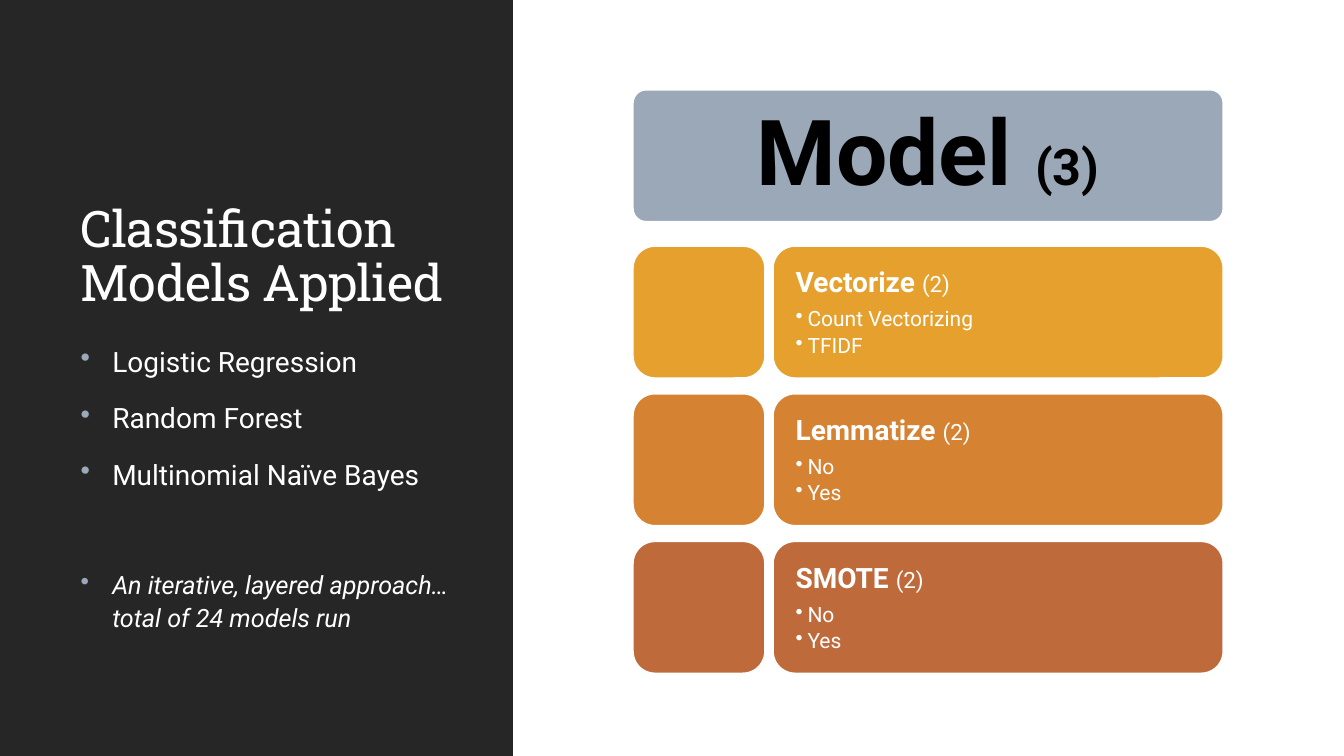
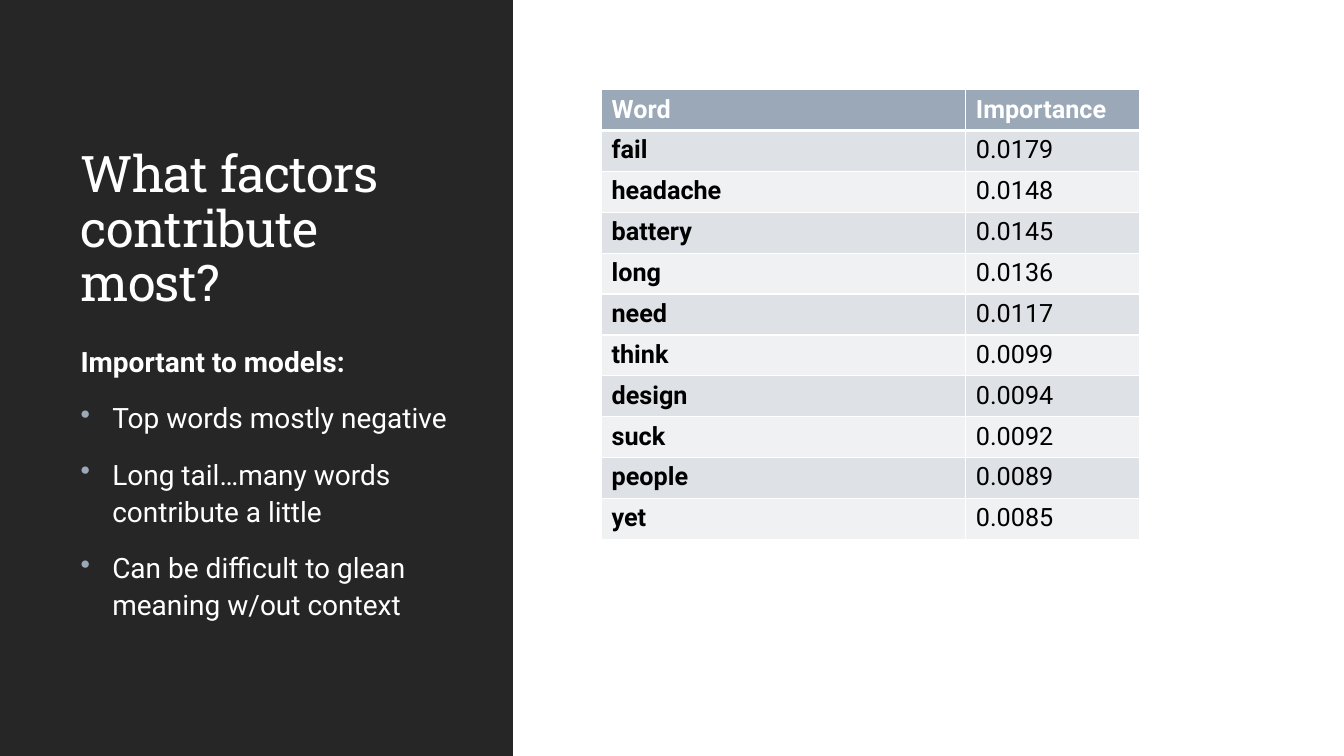
from dataclasses import dataclass

from lxml.etree import SubElement
from pptx import Presentation
from pptx.dml.color import RGBColor
from pptx.enum.shapes import MSO_SHAPE
from pptx.enum.text import MSO_ANCHOR, PP_ALIGN
from pptx.oxml.ns import qn
from pptx.util import Cm, Pt

HEADING_FONT, BODY_FONT = "Roboto Slab", "Roboto"
WHITE, BLACK, CHARCOAL, SLATE = "FFFFFF", "000000", "262626", "9BA8B7"
ROW_TINTS = ("DEE1E6", "EFF1F3")

SLIDE_WIDTH, SLIDE_HEIGHT = Cm(33.87), Cm(19.05)
BAND_WIDTH = Cm(12.93)
TEXT_LEFT, TITLE_WIDTH = Cm(1.78), Cm(9.78)
CONTENT_TOP = Cm(2.26)

STACK_LEFT, STACK_WIDTH = Cm(15.95), Cm(14.88)
TILE = Cm(3.33)
STEPS_TOP, STEP_PITCH = Cm(6.2), Cm(3.72)
CARD_LEFT = Cm(19.48)


@dataclass(frozen=True)
class Point:
    text: str
    size: float = 20
    bold: bool = False
    italic: bool = False
    bulleted: bool = True
    space_before: float = 12


@dataclass(frozen=True)
class Step:
    name: str
    count: int
    options: tuple[str, ...]
    color: str


MODEL_POINTS = (
    Point("Logistic Regression"),
    Point("Random Forest"),
    Point("Multinomial Naïve Bayes"),
    Point("An iterative, layered approach…\vtotal of 24 models run",
          size=18, italic=True, space_before=52),
)
FACTOR_POINTS = (
    Point("Important to models:", bold=True, bulleted=False),
    Point("Top words mostly negative"),
    Point("Long tail…many words contribute a little"),
    Point("Can be difficult to glean meaning w/out context"),
)
STEPS = (
    Step("Vectorize", 2, ("Count Vectorizing", "TFIDF"), "E6A02E"),
    Step("Lemmatize", 2, ("No", "Yes"), "D58232"),
    Step("SMOTE", 2, ("No", "Yes"), "BF6A3B"),
)
IMPORTANCES = (
    ("fail", "0.0179"),
    ("headache", "0.0148"),
    ("battery", "0.0145"),
    ("long", "0.0136"),
    ("need", "0.0117"),
    ("think", "0.0099"),
    ("design", "0.0094"),
    ("suck", "0.0092"),
    ("people", "0.0089"),
    ("yet", "0.0085"),
)


def rgb(color: str) -> RGBColor:
    return RGBColor.from_string(color)


def style_font(paragraph, color: str, size: float | None = None,
               name: str = BODY_FONT, bold: bool | None = None) -> None:
    font = paragraph.font
    font.name, font.bold = name, bold
    font.color.rgb = rgb(color)
    if size is not None:
        font.size = Pt(size)


def add_bullet(paragraph, indent: int, color: str) -> None:
    """Give the paragraph a hanging bullet; call before setting its font."""
    properties = paragraph._p.get_or_add_pPr()
    properties.set("marL", str(indent))
    properties.set("indent", str(-indent))
    bullet_color = SubElement(properties, qn("a:buClr"))
    SubElement(bullet_color, qn("a:srgbClr"), val=color)
    SubElement(properties, qn("a:buChar"), char="•")


def next_paragraph(frame, index: int):
    return frame.paragraphs[0] if index == 0 else frame.add_paragraph()


def add_block(slide, kind, left: int, top: int, width: int, height: int,
              color: str, corner: float | None = None):
    """Draw a filled shape; a rounded one gets a white outline."""
    block = slide.shapes.add_shape(kind, left, top, width, height)
    block.shadow.inherit = False
    block.fill.solid()
    block.fill.fore_color.rgb = rgb(color)
    if corner is None:
        block.line.fill.background()
    else:
        block.adjustments[0] = corner
        block.line.color.rgb = rgb(WHITE)
        block.line.width = Pt(1.25)
    return block


def set_insets(frame, horizontal: int, vertical: int) -> None:
    frame.word_wrap = True
    frame.margin_left = frame.margin_right = horizontal
    frame.margin_top = frame.margin_bottom = vertical


def add_counted_name(paragraph, name: str, count: int, color: str,
                     name_size: float, count_size: float, count_bold: bool) -> None:
    """Write a large bold name followed by a smaller count in brackets."""
    style_font(paragraph, color)
    paragraph.line_spacing = 0.9
    for text, size, bold in ((f"{name} ", name_size, True),
                             (f"({count})", count_size, count_bold)):
        run = paragraph.add_run()
        run.text = text
        run.font.size, run.font.bold = Pt(size), bold


def add_side_panel(slide, title: str, points: tuple[Point, ...], body_width: int) -> None:
    add_block(slide, MSO_SHAPE.RECTANGLE, 0, 0, BAND_WIDTH, SLIDE_HEIGHT, CHARCOAL)

    heading = slide.shapes.add_textbox(TEXT_LEFT, Cm(2.18), TITLE_WIDTH, Cm(5.82)).text_frame
    heading.word_wrap = True
    heading.vertical_anchor = MSO_ANCHOR.BOTTOM
    line = heading.paragraphs[0]
    line.text = title
    line.line_spacing = 0.9
    style_font(line, WHITE, 36, HEADING_FONT)
    line._p.pPr.find(qn("a:defRPr")).set("spc", "-50")

    body = slide.shapes.add_textbox(TEXT_LEFT, Cm(8.46), body_width, Cm(8.51)).text_frame
    body.word_wrap = True
    for index, point in enumerate(points):
        paragraph = next_paragraph(body, index)
        paragraph.text = point.text
        if point.bulleted:
            add_bullet(paragraph, Cm(0.8), SLATE)
        paragraph.line_spacing = 1.1
        paragraph.space_before = Pt(point.space_before if index else 0)
        paragraph.space_after = Pt(2)
        style_font(paragraph, WHITE, point.size, bold=point.bold)
        paragraph.font.italic = point.italic


def add_model_header(slide) -> None:
    header = add_block(slide, MSO_SHAPE.ROUNDED_RECTANGLE, STACK_LEFT, CONTENT_TOP,
                       STACK_WIDTH, TILE, SLATE, corner=0.1)
    frame = header.text_frame
    set_insets(frame, Cm(0.35), Cm(0.23))
    frame.vertical_anchor = MSO_ANCHOR.MIDDLE
    paragraph = frame.paragraphs[0]
    paragraph.alignment = PP_ALIGN.CENTER
    add_counted_name(paragraph, "Model", 3, BLACK, 65, 36, count_bold=True)


def add_step(slide, step: Step, top: int) -> None:
    """Draw a square tile and, beside it, a card listing the step's options."""
    card_width = STACK_LEFT + STACK_WIDTH - CARD_LEFT
    _, card = [
        add_block(slide, MSO_SHAPE.ROUNDED_RECTANGLE, left, top, width, TILE,
                  step.color, corner=0.167)
        for left, width in ((STACK_LEFT, TILE), (CARD_LEFT, card_width))
    ]
    frame = card.text_frame
    set_insets(frame, Cm(0.41), Cm(0.41))
    frame.vertical_anchor = MSO_ANCHOR.TOP
    name_line = frame.paragraphs[0]
    name_line.alignment = PP_ALIGN.LEFT
    name_line.space_after = Pt(7)
    add_counted_name(name_line, step.name, step.count, WHITE, 20, 16, count_bold=False)
    for option in step.options:
        paragraph = frame.add_paragraph()
        paragraph.text = option
        paragraph.level = 1
        paragraph.alignment = PP_ALIGN.LEFT
        add_bullet(paragraph, Cm(0.3), WHITE)
        paragraph.line_spacing = 0.9
        paragraph.space_after = Pt(2.7)
        style_font(paragraph, WHITE, 15)


def add_cell_borders(cell, top: float, bottom: float) -> None:
    """Add white borders, widths in points; call before filling the cell."""
    properties = cell._tc.get_or_add_tcPr()
    for side, width in (("L", 1), ("R", 1), ("T", top), ("B", bottom)):
        border = SubElement(properties, qn(f"a:ln{side}"), w=str(Pt(width)))
        fill = SubElement(border, qn("a:solidFill"))
        SubElement(fill, qn("a:srgbClr"), val=WHITE)


def add_importance_table(slide) -> None:
    rows = (("Word", "Importance"), *IMPORTANCES)
    column_widths = (Cm(9.18), Cm(4.38))
    row_height = Cm(1.03)
    table = slide.shapes.add_table(len(rows), len(column_widths), Cm(15.16), CONTENT_TOP,
                                   sum(column_widths), row_height * len(rows)).table
    table.horz_banding = False
    for column, width in zip(table.columns, column_widths):
        column.width = width
    for row_index, row in enumerate(rows):
        is_header = row_index == 0
        for column_index, text in enumerate(row):
            cell = table.cell(row_index, column_index)
            add_cell_borders(cell, top=3 if row_index == 1 else 1,
                             bottom=3 if is_header else 1)
            cell.fill.solid()
            cell.fill.fore_color.rgb = rgb(
                SLATE if is_header else ROW_TINTS[(row_index - 1) % 2])
            paragraph = cell.text_frame.paragraphs[0]
            paragraph.text = text
            style_font(paragraph, WHITE if is_header else BLACK, 18,
                       bold=is_header or column_index == 0)


def main() -> None:
    deck = Presentation()
    deck.slide_width, deck.slide_height = SLIDE_WIDTH, SLIDE_HEIGHT
    blank = deck.slide_layouts[6]

    models = deck.slides.add_slide(blank)
    add_side_panel(models, "Classification Models Applied", MODEL_POINTS, TITLE_WIDTH)
    add_model_header(models)
    for index, step in enumerate(STEPS):
        add_step(models, step, STEPS_TOP + index * STEP_PITCH)

    factors = deck.slides.add_slide(blank)
    add_side_panel(factors, "What factors contribute most?", FACTOR_POINTS, Cm(10.39))
    add_importance_table(factors)

    deck.save("out.pptx")


if __name__ == "__main__":
    main()
